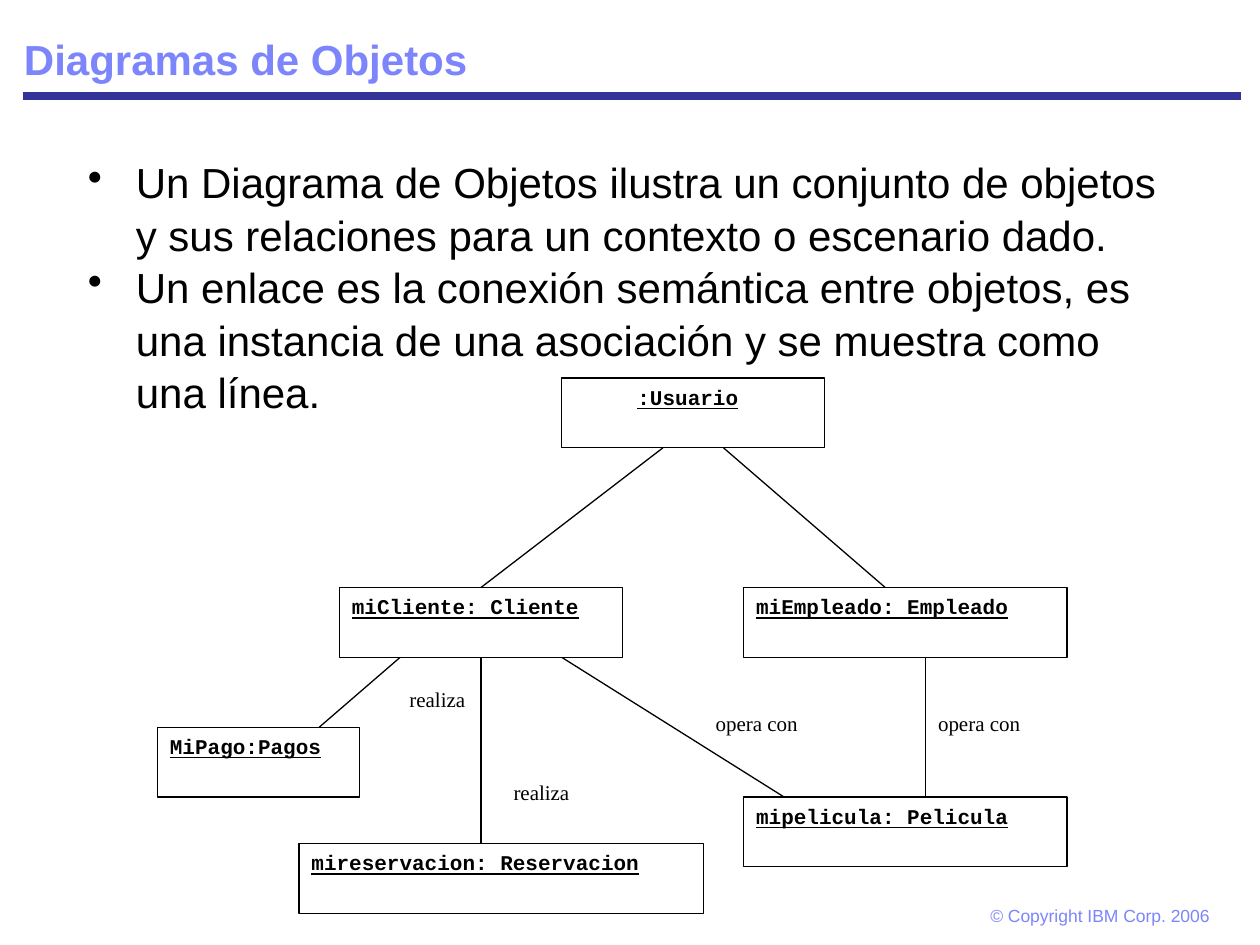
from lxml.etree import SubElement
from pptx import Presentation
from pptx.dml.color import RGBColor
from pptx.enum.shapes import MSO_CONNECTOR, MSO_SHAPE
from pptx.enum.text import MSO_ANCHOR, PP_ALIGN
from pptx.oxml.ns import qn
from pptx.util import Inches, Pt

BLACK = RGBColor(0x00, 0x00, 0x00)
WHITE = RGBColor(0xFF, 0xFF, 0xFF)
NAVY = RGBColor(0x33, 0x33, 0x99)
PERIWINKLE = RGBColor(0x7C, 0x85, 0xFC)

# The diagram lies on a grid of 45 columns and 23 rows.
GRID_LEFT, GRID_TOP = Inches(1.25), Inches(3)
COLUMN, ROW = Inches(7.22) / 45, Inches(4.25) / 23
BOX_ROWS = 3

BULLETS = [
    "Un Diagrama de Objetos ilustra un conjunto de objetos y sus relaciones "
    "para un contexto o escenario dado.",
    "Un enlace es la conexión semántica entre objetos, es una instancia de una "
    "asociación y se muestra como una línea.",
]
# Text, column, row, columns wide
OBJECTS = [
    (":Usuario", 20, 0, 13),
    ("miCliente: Cliente", 9, 9, 14),
    ("miEmpleado: Empleado", 29, 9, 16),
    ("MiPago:Pagos", 0, 15, 10),
    ("mipelicula: Pelicula", 29, 18, 16),
    ("mireservacion: Reservacion", 7, 20, 20),
]
# Column and row of each end
LINKS = [
    ((16, 9), (25, 3)),
    ((36, 9), (28, 3)),
    ((16, 12), (16, 20)),
    ((20, 12), (31, 18)),
    ((38, 12), (38, 18)),
    ((12, 12), (8, 15)),
]
# Text, column, row, columns wide
LABELS = [
    ("realiza", 11.85, 13, 5),
    ("realiza", 17, 17, 5),
    ("opera con", 27, 14, 8),
    ("opera con", 38, 14, 8),
]


def grid_point(column, row):
    return round(GRID_LEFT + column * COLUMN), round(GRID_TOP + row * ROW)


def grid_area(column, row, columns, rows):
    return (*grid_point(column, row), round(columns * COLUMN), round(rows * ROW))


def style(paragraph, name, size, color=BLACK, bold=False, underline=False):
    paragraph.alignment = PP_ALIGN.LEFT
    font = paragraph.font
    font.name, font.size, font.bold, font.underline = name, Pt(size), bold, underline
    font.color.rgb = color


def add_text(slide, area, text, name, size, color=BLACK):
    text_frame = slide.shapes.add_textbox(*area).text_frame
    text_frame.word_wrap = True
    text_frame.text = text
    for paragraph in text_frame.paragraphs:
        style(paragraph, name, size, color)
    return text_frame


def add_line(slide, start, end, color, width):
    line = slide.shapes.add_connector(MSO_CONNECTOR.STRAIGHT, *start, *end)
    line.line.color.rgb = color
    line.line.width = Pt(width)
    SubElement(line._element.spPr, qn("a:effectLst"))


def add_object(slide, text, column, row, columns):
    shape = slide.shapes.add_shape(
        MSO_SHAPE.RECTANGLE, *grid_area(column, row, columns, BOX_ROWS))
    shape.shadow.inherit = False
    shape.fill.solid()
    shape.fill.fore_color.rgb = WHITE
    shape.line.color.rgb = BLACK
    shape.line.width = Pt(0.75)
    text_frame = shape.text_frame
    text_frame.vertical_anchor = MSO_ANCHOR.TOP
    text_frame.text = text
    style(text_frame.paragraphs[0], "Courier New", 12, bold=True, underline=True)
    return text_frame


def add_title(slide, text):
    title = slide.shapes.title
    title.left, title.top = Inches(0.09), Inches(0.09)
    title.width, title.height = Inches(9.8), Inches(0.63)
    title.text_frame.vertical_anchor = MSO_ANCHOR.BOTTOM
    title.text_frame.text = text
    paragraph = title.text_frame.paragraphs[0]
    paragraph.line_spacing = 0.9
    style(paragraph, "Arial", 24, PERIWINKLE, bold=True)


def add_bullets(slide, texts):
    area = Inches(0.6), Inches(1.18), Inches(8.8), Inches(5.38)
    text_frame = add_text(slide, area, "\n".join(texts), "Arial", 24)
    for paragraph in text_frame.paragraphs:
        paragraph.line_spacing = 1.04
        properties = paragraph._p.get_or_add_pPr()
        properties.set("marL", str(Inches(0.38)))
        properties.set("indent", str(-Inches(0.38)))
        bullet = properties.makeelement(qn("a:buChar"), {"char": "•"})
        properties.insert_element_before(bullet, "a:tabLst", "a:defRPr")


def add_footer(slide, text):
    area = Inches(7.71), Inches(7.11), Inches(2.04), Inches(0.32)
    text_frame = add_text(slide, area, text, "Arial", 10, PERIWINKLE)
    text_frame.margin_left = text_frame.margin_right = Inches(0.15)
    text_frame.margin_top = text_frame.margin_bottom = Inches(0.07)


def main():
    presentation = Presentation()
    presentation.slide_width, presentation.slide_height = Inches(10), Inches(7.5)
    slide = presentation.slides.add_slide(presentation.slide_layouts[5])

    add_title(slide, "Diagramas de Objetos")
    rule_top = Inches(0.76)
    add_line(slide, (Inches(0.18), rule_top), (Inches(9.85), rule_top), NAVY, 4.5)
    add_bullets(slide, BULLETS)

    for text, column, row, columns in LABELS:
        add_text(slide, grid_area(column, row, columns, 2), text, "Times New Roman", 12)
    user, *_ = [add_object(slide, *item) for item in OBJECTS]
    user.margin_left = Inches(0.6)
    for start, end in LINKS:
        add_line(slide, grid_point(*start), grid_point(*end), BLACK, 0.75)

    add_footer(slide, "© Copyright IBM Corp. 2006")
    presentation.save("out.pptx")


if __name__ == "__main__":
    main()
